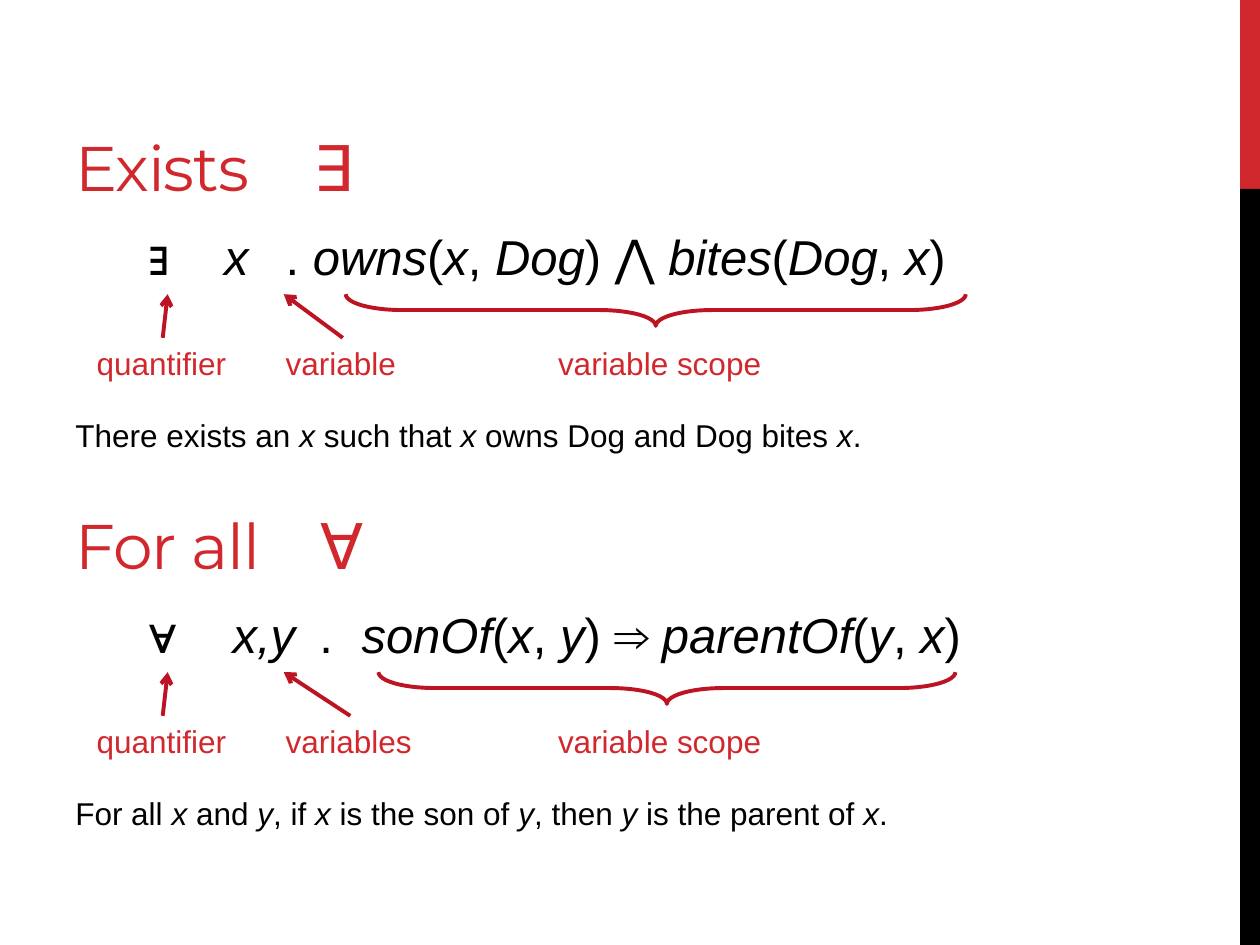
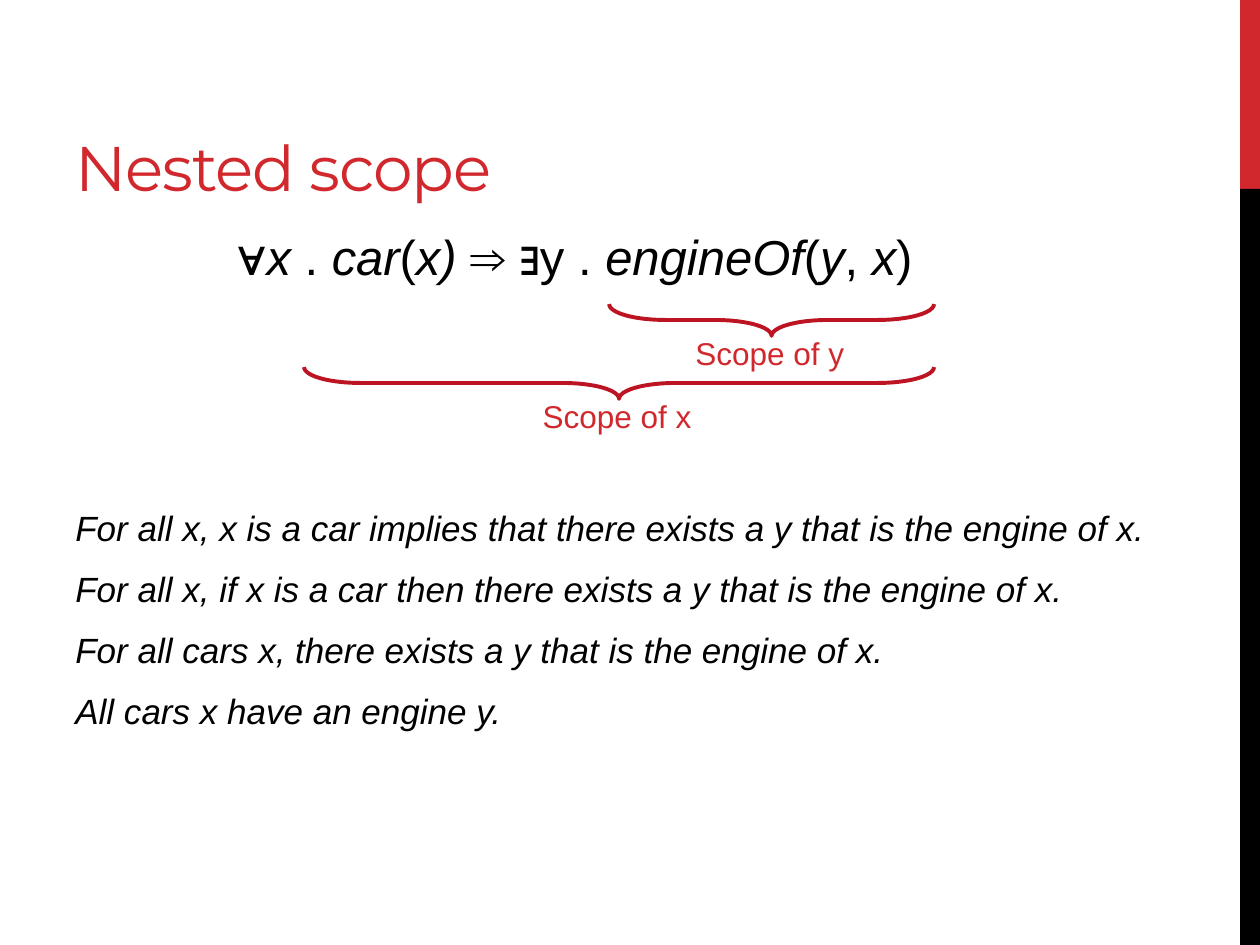
from lxml import etree
from pptx import Presentation
from pptx.dml.color import RGBColor
from pptx.enum.shapes import MSO_CONNECTOR, MSO_SHAPE
from pptx.enum.text import MSO_ANCHOR, PP_ALIGN
from pptx.oxml.ns import qn
from pptx.util import Cm, Pt

RED = RGBColor(0xD1, 0x28, 0x2E)
DARK_RED = RGBColor(0xBC, 0x14, 0x22)
BLACK = RGBColor(0, 0, 0)

TITLE_FONT, BODY_FONT, SYMBOL_FONT = "Montserrat", "Arial", "Times New Roman"
RECT, BRACE = MSO_SHAPE.RECTANGLE, MSO_SHAPE.LEFT_BRACE
STRAIGHT = MSO_CONNECTOR.STRAIGHT
TOP, BOTTOM = MSO_ANCHOR.TOP, MSO_ANCHOR.BOTTOM
LEFT, CENTER = PP_ALIGN.LEFT, PP_ALIGN.CENTER

WIDTH, HEIGHT = 25.4, 19.05
MARGIN = 1.27
BAND_LEFT, BAND_SPLIT = 25, 3.81
BRACE_HEIGHT = 0.64
HALF_STEP = 7.62  # distance between the upper and the lower half of a slide


class Deck:
    """Holds the shared style and the slide being filled; lengths are in cm."""

    def __init__(self):
        self.prs = Presentation()
        self.prs.slide_width, self.prs.slide_height = Cm(WIDTH), Cm(HEIGHT)
        self.s = None

    def new_slide(self):
        self.s = self.prs.slides.add_slide(self.prs.slide_layouts[6])
        self.band(0, BAND_SPLIT, RED)
        self.band(BAND_SPLIT, HEIGHT - BAND_SPLIT, BLACK)

    def band(self, top, height, color):
        sp = self.s.shapes.add_shape(RECT, Cm(BAND_LEFT), Cm(top),
                                     Cm(WIDTH - BAND_LEFT), Cm(height))
        sp.shadow.inherit = False
        sp.fill.solid()
        sp.fill.fore_color.rgb = color
        sp.line.fill.background()

    def text(self, box, lines, size, color=BLACK, font=BODY_FONT,
             anchor=TOP, align=LEFT, tabs=(), before=0, after=0):
        """Write lines in which * toggles italics and | the symbol font."""
        sp = self.s.shapes.add_textbox(*map(Cm, box))
        tf = sp.text_frame
        tf.word_wrap = True
        tf.vertical_anchor = anchor
        for n, line in enumerate(lines):
            p = tf.add_paragraph() if n else tf.paragraphs[0]
            p.alignment = align
            p.space_before, p.space_after = Pt(before), Pt(after)
            if tabs:
                self.set_tabs(p, tabs)
            for i, part in enumerate(line.split("*")):
                for j, piece in enumerate(part.split("|")):
                    if piece:
                        r = p.add_run()
                        r.text = piece
                        r.font.name = SYMBOL_FONT if j % 2 else font
                        r.font.size = Pt(size)
                        r.font.italic = i % 2 == 1
                        r.font.color.rgb = color
        return tf

    def set_tabs(self, p, tabs):
        tab_list = etree.SubElement(p._p.get_or_add_pPr(), qn("a:tabLst"))
        for pos in tabs:
            etree.SubElement(tab_list, qn("a:tab"), pos=str(Cm(pos)), algn="l")

    def title(self, text, top=0.43, tabs=()):
        tf = self.text((MARGIN, top, 16.08, 3.81), [text], 36, RED, TITLE_FONT,
                       BOTTOM, tabs=tabs)
        for r in tf.paragraphs[0].runs:
            r.font._element.set("spc", "-60")

    def formula(self, left, top, width, text, align=LEFT, tabs=()):
        self.text((left, top, width, 1.45), [text], 28, align=align, tabs=tabs)

    def body(self, top, width, height, lines, size):
        self.text((MARGIN, top, width, height), lines, size,
                  before=size / 4, after=6)

    def label(self, left, top, width, text):
        self.text((left, top, width, 1.02), [text], 18, RED)

    def style_line(self, line):
        line.color.rgb = DARK_RED
        line.width = Pt(2.25)

    def arrow(self, x1, y1, x2, y2):
        c = self.s.shapes.add_connector(STRAIGHT, Cm(x1), Cm(y1), Cm(x2), Cm(y2))
        self.style_line(c.line)
        etree.SubElement(c.line._get_or_add_ln(), qn("a:tailEnd"), type="arrow")
        etree.SubElement(c._element.spPr, qn("a:effectLst"))

    def brace(self, left, top, width):
        """Draw a brace that opens upwards, placed by its visible bounds."""
        shift = (width - BRACE_HEIGHT) / 2
        sp = self.s.shapes.add_shape(BRACE, Cm(left + shift), Cm(top - shift),
                                     Cm(BRACE_HEIGHT), Cm(width))
        sp.rotation = 270
        sp.adjustments[0] = 1.774
        sp.shadow.inherit = False
        sp.fill.background()
        self.style_line(sp.line)

    def quantifier(self, half, title, title_tab, formula, formula_tabs, variable,
                   variable_width, arrow_x, scope_left, scope_width, sentence):
        """Explain one quantifier in the upper (0) or lower (1) half."""
        y = half * HALF_STEP
        label_top, mark_top = y + 6.81, y + 5.93
        self.title(title, y + 0.43, [title_tab])
        self.body(y + 8.26, 21.16, 1.27, [sentence], 18)
        self.formula(2.74, y + 4.45, 19.25, formula, tabs=formula_tabs)
        self.label(1.7, label_top, 3.15, "quantifier")
        self.label(5.51, label_top, variable_width, variable)
        self.label(11, label_top, 4.67, "variable scope")
        self.arrow(3.28, label_top, 3.38, mark_top)
        self.arrow(arrow_x, label_top, 5.72, mark_top)
        self.brace(scope_left, mark_top, scope_width)


def quantifiers_slide(deck):
    deck.new_slide()
    deck.quantifier(
        0, "Exists\t∃", 4.8,
        "∃\t*x*\t. *owns*(*x*, *Dog*) ⋀ *bites*(*Dog*, *x*)", [1.53, 2.77],
        "variable", 2.79, 6.91, 6.97, 12.5,
        "There exists an *x* such that *x* owns Dog and Dog bites *x*.")
    deck.quantifier(
        1, "For all\t∀", 4.95,
        "|∀|\t*x,y*\t.\t*sonOf*(*x*, *y*) |⇒ |*parentOf*(*y*, *x*)",
        [1.7, 3.45, 4.3],
        "variables", 3.12, 7.06, 7.63, 11.63,
        "For all *x* and *y*, if *x* is the son of *y*, "
        "then *y* is the parent of *x*.")


def nested_scope_slide(deck):
    deck.new_slide()
    deck.title("Nested scope")
    deck.body(10.08, 22.43, 8.56, [
        "*For all x, x is a car implies that there exists a y "
        "that is the engine of x.*",
        "*For all x, if x is a car then there exists a y "
        "that is the engine of x.*",
        "*For all cars x, there exists a y that is the engine of x.*",
        "*All cars x have an engine y.*",
    ], 20)
    deck.formula(1.47, 4.45, 20.52,
                 "∀*x* . *car*(*x) *⇒ ∃y . *engineOf*(*y*, *x*) ", CENTER)
    deck.label(10.69, 7.87, 4.78, "Scope of x")
    deck.brace(6.13, 7.4, 12.7)
    deck.label(13.77, 6.6, 3.61, "Scope of y")
    deck.brace(12.28, 6.13, 6.55)


def main():
    deck = Deck()
    quantifiers_slide(deck)
    nested_scope_slide(deck)
    deck.prs.save("out.pptx")


if __name__ == "__main__":
    main()
